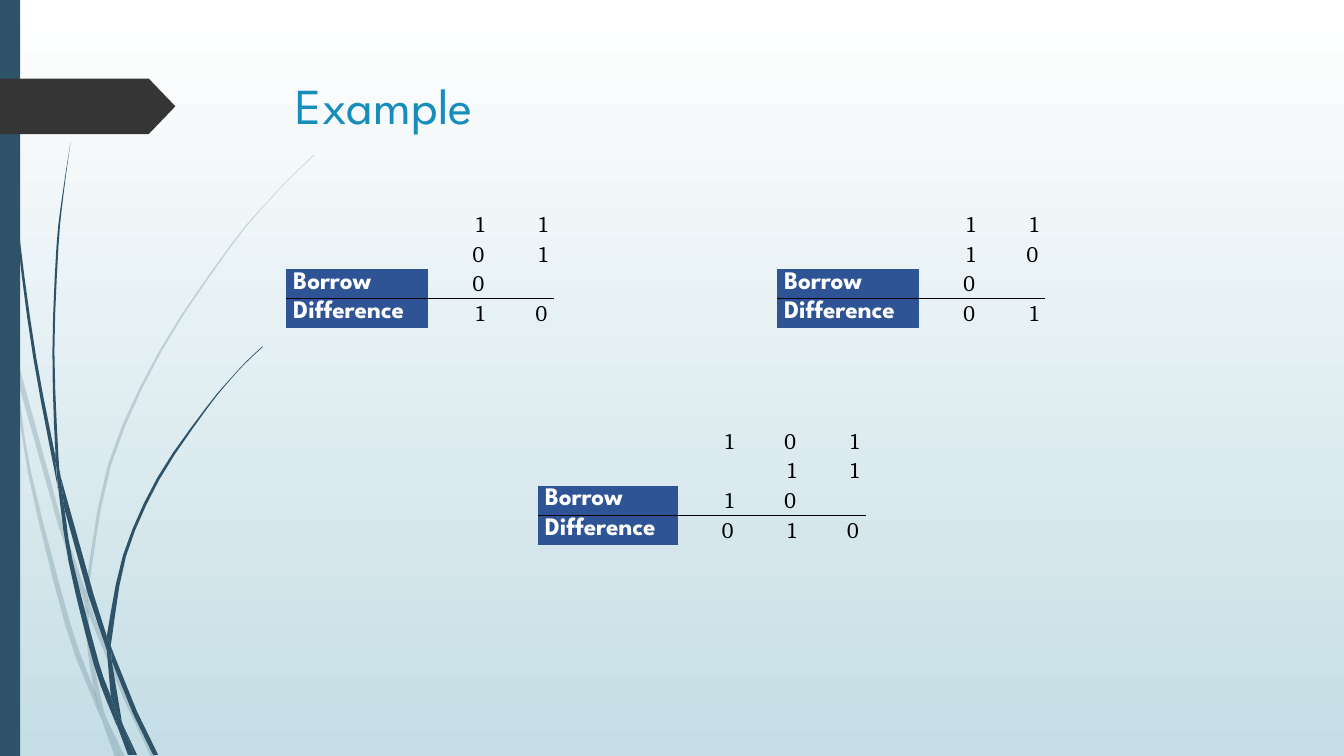
from lxml import etree
from pptx import Presentation
from pptx.dml.color import RGBColor
from pptx.enum.shapes import MSO_SHAPE
from pptx.enum.text import MSO_ANCHOR, PP_ALIGN
from pptx.oxml.ns import qn
from pptx.util import Cm, Pt

RECT, ARROW = MSO_SHAPE.RECTANGLE, MSO_SHAPE.PENTAGON
LEFT, RIGHT, TOP = PP_ALIGN.LEFT, PP_ALIGN.RIGHT, MSO_ANCHOR.TOP
WHITE = RGBColor(0xFF, 0xFF, 0xFF)
BLACK = RGBColor(0, 0, 0)
MIST = RGBColor(0xC5, 0xDE, 0xE5)
SLATE = RGBColor(0x2E, 0x53, 0x69)
COAL = RGBColor(0x35, 0x35, 0x35)
SKY = RGBColor(0x17, 0x8D, 0xBB)
NAVY = RGBColor(0x2F, 0x54, 0x96)
SANS, SERIF = "League Spartan", "Cambria"
NO_GRID = "{2D5ABB26-0587-4C30-8999-92F81FD0307C}"


def put(frame, text, font=SERIF, size=16, color=BLACK, bold=False,
        align=RIGHT, space=1.06):
    """Write one formatted line of text into a text frame."""
    line = frame.paragraphs[0]
    line.alignment = align
    line.line_spacing = space
    if not text:
        etree.SubElement(line._p, qn("a:endParaRPr"), sz="1000")
        return
    run = line.add_run()
    run.text = text
    run.font.name = font
    run.font.size = Pt(size)
    run.font.bold = bold
    run.font.color.rgb = color


def paint(shape, color, alpha=100):
    """Give a shape a flat fill without line or shadow."""
    shape.shadow.inherit = False
    shape.line.fill.background()
    shape.fill.solid()
    shape.fill.fore_color.rgb = color
    if alpha < 100:
        tone = shape._element.spPr.find(".//" + qn("a:srgbClr"))
        etree.SubElement(tone, qn("a:alpha"), val=str(alpha * 1000))


deck = Presentation()
deck.slide_width, deck.slide_height = Cm(33.87), Cm(19.05)
slide = deck.slides.add_slide(deck.slide_layouts[6])
shapes = slide.shapes

back = slide.background.fill
back.gradient()
back.gradient_angle = 270
for stop, color, place in zip(back.gradient_stops, (WHITE, MIST), (0, 1)):
    stop.color.rgb = color
    stop.position = place

# Blades of grass: the left edge and the right edge of each piece, downwards
UNIT = Cm(0.0254)
pale = [
    ([(0, 282), (0, 299), (10, 344), (11, 350)], [(0, 282), (9, 322), (11, 350)]),
    ([(14, 345), (17, 376), (58, 522), (84, 599)],
     [(14, 345), (62, 520), (85, 586)]),
    ([(88, 596), (88, 610), (123, 694), (150, 751)],
     [(88, 596), (92, 607), (127, 692), (155, 751)]),
    ([(105, 711), (119, 751)], [(105, 711), (124, 751)]),
    ([(11, 350), (28, 470), (65, 621), (92, 693), (101, 714)],
     [(11, 350), (17, 376), (31, 469), (70, 619), (93, 683), (99, 707)]),
    ([(84, 599), (87, 646), (93, 683), (96, 692), (105, 711)],
     [(84, 599), (88, 608), (88, 610), (91, 646), (103, 706)]),
    ([(312, 153), (289, 175), (268, 197), (228, 244), (158, 348), (107, 461),
      (85, 584), (85, 586)],
     [(312, 154), (290, 175), (268, 198), (229, 245), (160, 349), (110, 462),
      (88, 584), (88, 596)]),
    ([(101, 714), (114, 751)], [(101, 714), (119, 751)]),
    ([(85, 586), (84, 599)], [(85, 586), (88, 596), (88, 610)]),
    ([(93, 683), (99, 707), (101, 714), (119, 751)],
     [(93, 683), (96, 692), (105, 711), (119, 751)]),
]
dark = [
    ([(3, 0), (4, 48), (7, 110), (17, 233), (33, 355), (56, 477), (57, 481)],
     [(4, 0), (5, 48), (8, 109), (19, 232), (36, 355), (55, 453), (55, 457)]),
    ([(60, 472), (64, 505), (88, 592), (106, 645)],
     [(60, 472), (93, 590), (106, 631)]),
    ([(110, 641), (111, 656), (132, 708), (152, 749)],
     [(110, 641), (113, 649), (136, 706), (157, 749)]),
    ([(57, 477), (68, 557), (93, 659), (111, 708), (117, 722)],
     [(57, 477), (64, 505), (72, 556), (98, 657), (110, 691), (116, 717)]),
    ([(70, 141), (62, 193), (56, 245), (52, 349), (55, 449), (60, 472)],
     [(70, 141), (63, 193), (58, 245), (54, 349), (58, 453), (60, 472)]),
    ([(122, 719), (133, 749)], [(122, 719), (136, 749)]),
    ([(55, 449), (55, 453), (57, 477), (64, 505)],
     [(55, 449), (60, 472), (64, 505)]),
    ([(260, 344), (245, 358), (231, 373), (204, 405), (156, 474), (122, 551),
      (106, 631)],
     [(261, 344), (245, 359), (231, 374), (205, 406), (158, 476), (125, 552),
      (111, 633), (110, 641)]),
    ([(117, 722), (127, 749)], [(117, 722), (131, 749)]),
    ([(106, 645), (110, 691), (116, 706), (122, 719)],
     [(106, 645), (109, 651), (111, 656), (121, 716)]),
    ([(106, 631), (106, 645), (109, 651), (111, 656)],
     [(106, 631), (110, 641), (111, 656)]),
    ([(110, 691), (116, 717), (117, 722), (130, 749)],
     [(110, 691), (116, 706), (122, 719), (133, 749)]),
]
STEPS = 3
for alpha, blades in ((20, pale), (100, dark)):
    for blade in blades:
        sides = []
        for knots in blade:
            ends = [knots[0]] + knots + [knots[-1]]
            steps = STEPS if len(knots) > 4 else 1
            side = []
            for a, b, c, d in zip(ends, ends[1:], ends[2:], ends[3:]):
                for t in [step / steps for step in range(steps)]:
                    side.append([
                        UNIT * (q + t / 2 * (r - p + t * (
                            2 * p - 5 * q + 4 * r - s
                            + t * (3 * (q - r) + s - p))))
                        for p, q, r, s in zip(a, b, c, d)])
            side.append([UNIT * v for v in knots[-1]])
            sides.append(side)
        near, far = sides
        pen = shapes.build_freeform(*near[0])
        pen.add_line_segments(near[1:] + far[::-1], close=True)
        paint(pen.convert_to_shape(), SLATE, alpha)

bar = shapes.add_shape(RECT, 0, 0, Cm(0.51), Cm(19.05))
paint(bar, SLATE)
tag = shapes.add_shape(ARROW, 0, Cm(1.98), Cm(4.42), Cm(1.4))
tag.adjustments[0] = 0.48
paint(tag, COAL)

title = shapes.add_textbox(Cm(7.21), Cm(1.75), Cm(24.77), Cm(3.56)).text_frame
title.word_wrap = True
put(title, "Example", font=SANS, size=36, color=SKY, align=LEFT, space=1)

# Sums: left, top, label width, digit width, rows of digits
sums = [
    (7.21, 5.28, 3.58, 1.59, ["11", "01", "0 ", "10"]),
    (19.58, 5.28, 3.58, 1.59, ["11", "10", "0 ", "01"]),
    (13.55, 10.74, 3.53, 1.58, ["101", " 11", "10 ", "010"]),
]
labels = ["", "", "Borrow", "Difference"]
HIGH = 0.71
for left, top, wide, slim, rows in sums:
    count = len(rows[0])
    grid = shapes.add_table(len(rows), count + 1, Cm(left), Cm(top),
                            Cm(wide + slim * count),
                            Cm(HIGH * len(rows))).table
    grid.first_row = grid.horz_banding = False
    grid._tbl.tblPr.find(qn("a:tableStyleId")).text = NO_GRID
    for i, col in enumerate(grid.columns):
        col.width = Cm(slim if i else wide)
    for i, (label, digits) in enumerate(zip(labels, rows)):
        grid.rows[i].height = Cm(HIGH)
        for j, text in enumerate([label, *digits]):
            cell = grid.cell(i, j)
            cell.margin_left = cell.margin_right = Cm(0.18)
            cell.margin_top, cell.margin_bottom = Cm(0.03), 0
            cell.vertical_anchor = TOP
            if label and j == 0:
                cell.margin_bottom = Cm(-0.15)
                cell.fill.solid()
                cell.fill.fore_color.rgb = NAVY
                put(cell.text_frame, text, font=SANS, size=18, color=WHITE,
                    bold=True, align=LEFT)
            else:
                cell.fill.background()
                put(cell.text_frame, text.strip())
            if label:
                side = "a:lnB" if label == "Borrow" else "a:lnT"
                rule = etree.Element(qn(side), w=str(Pt(1)))
                ink = etree.SubElement(rule, qn("a:solidFill"))
                etree.SubElement(ink, qn("a:srgbClr"), val=str(BLACK))
                cell._tc.get_or_add_tcPr().insert(0, rule)

deck.save("out.pptx")
